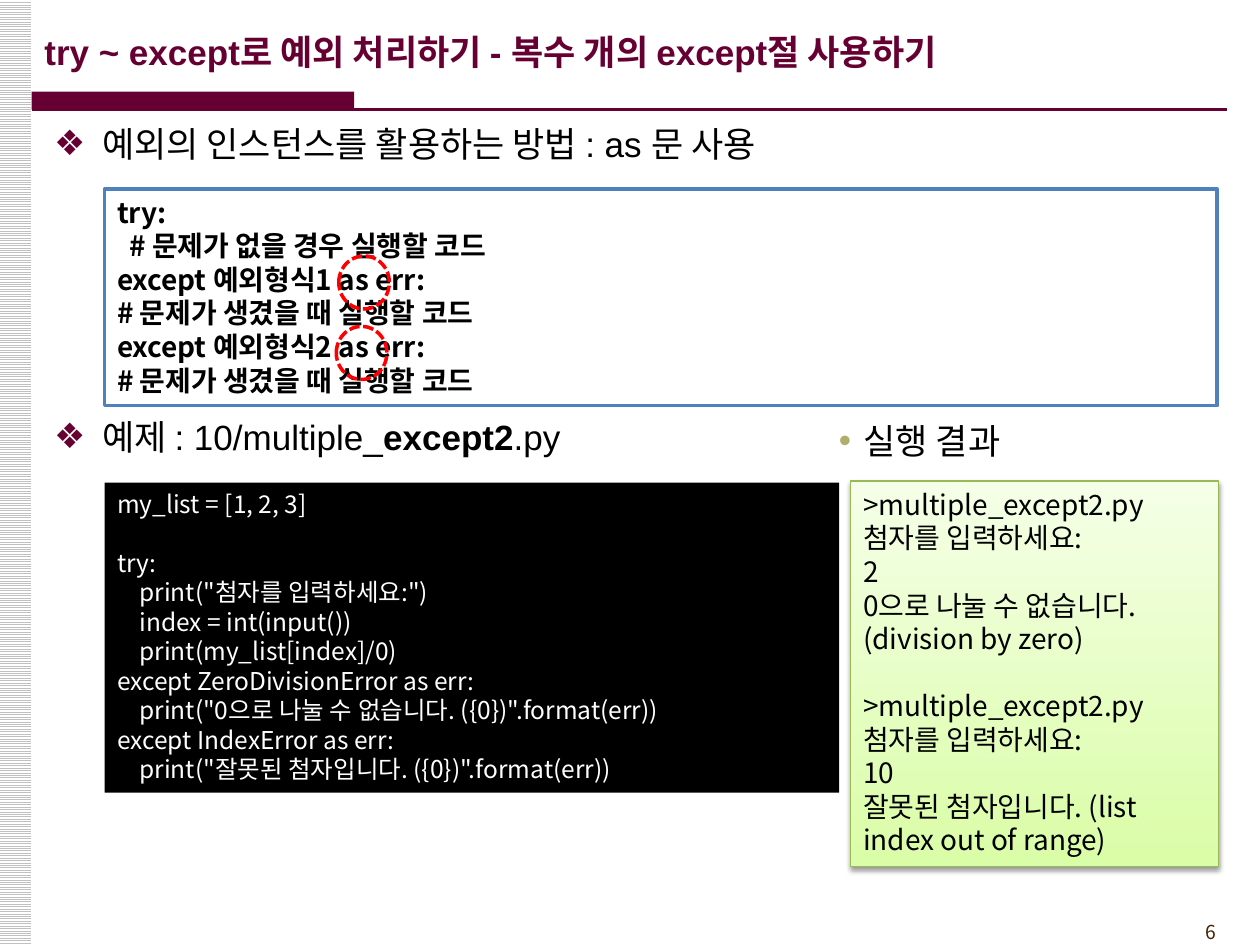
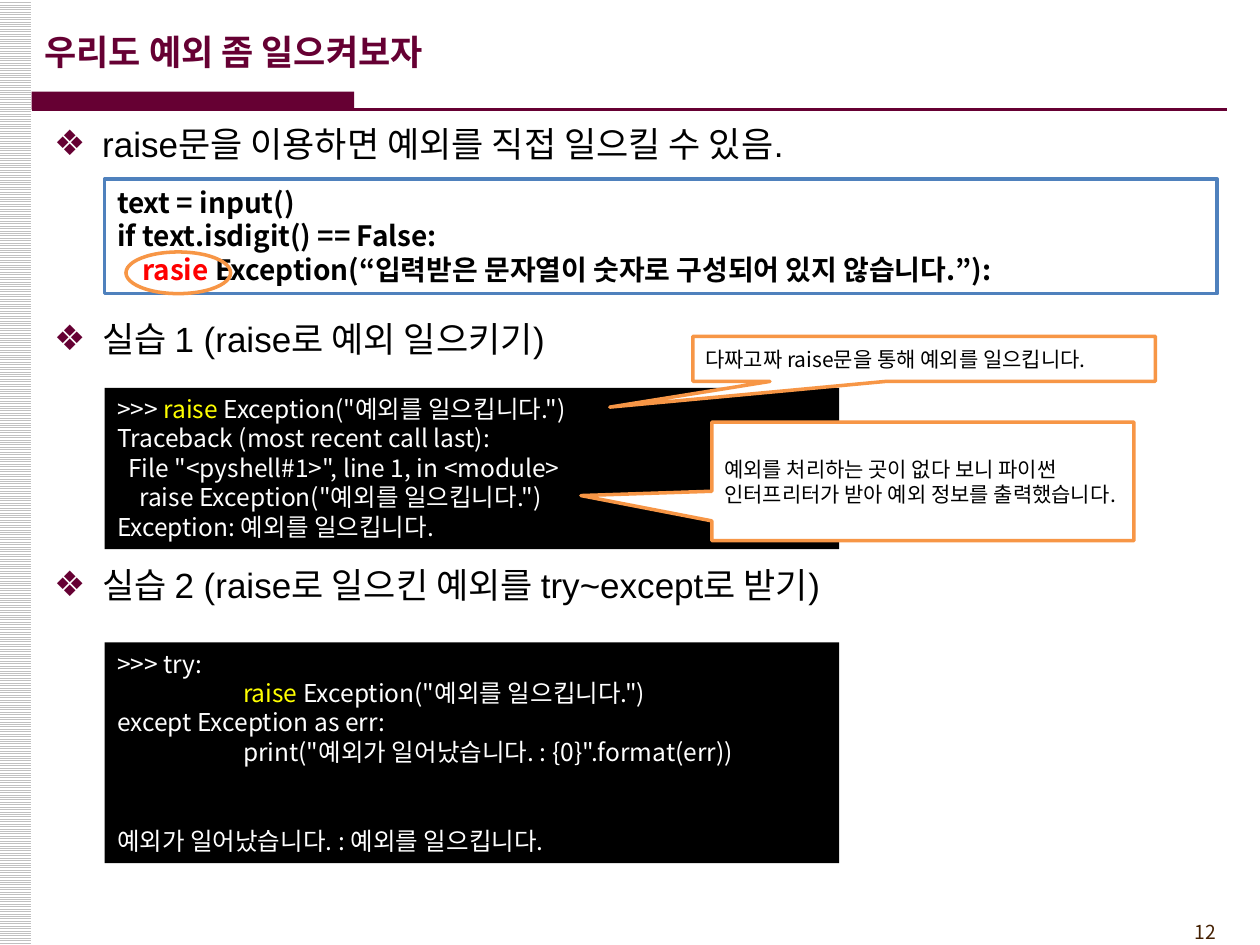
"""Build two lecture slides on Python exception handling."""
from lxml import etree
from pptx import Presentation
from pptx import util as u
from pptx.dml.color import RGBColor
from pptx.enum import dml, shapes, text
from pptx.oxml import parse_xml
from pptx.oxml.ns import nsdecls, qn

WINE, BLACK, WHITE = "660033", "000000", "FFFFFF"
BLUE, ORANGE, RED, YELLOW = "4F81BD", "F79646", "FF0000", "FFFF00"
SANS, KOREAN = "Arial", "Noto Sans CJK KR"
KIND = shapes.MSO_SHAPE


def paint(fill, *colours):
    """Apply no fill, a solid fill or a two-colour gradient."""
    if not colours:
        fill.background()
    elif len(colours) == 1:
        fill.solid()
        fill.fore_color.rgb = RGBColor.from_string(colours[0])
    else:
        fill.gradient()
        fill.gradient_angle = 90
        for stop, colour in zip(fill.gradient_stops, colours):
            stop.color.rgb = RGBColor.from_string(colour)


def write(page, lines, at, kind=None, fill=(), line=None, width=2, size=14, font=KOREAN,
          colour=BLACK, bold=False, accent=None, bullet=None, hang=0,
          align=text.PP_ALIGN.LEFT, anchor=text.MSO_ANCHOR.TOP):
    """Add lines, each a text or (text, indent in cm, gap in points); |bars| mark accents."""
    place = [u.Cm(value) for value in at]
    if kind == "title":
        box = page.shapes.title
        box.left, box.top, box.width, box.height = place
    elif kind is None:
        box = page.shapes.add_textbox(*place)
    else:
        box = page.shapes.add_shape(kind, *place)
        box.shadow.inherit = False
        paint(box.fill, *fill)
        paint(box.line.fill, *([line] if line else []))
        if line:
            box.line.width = u.Pt(width)
    frame = box.text_frame
    frame.word_wrap = True
    frame.auto_size = text.MSO_AUTO_SIZE.NONE
    frame.vertical_anchor = anchor
    for index, entry in enumerate(lines):
        words, indent, gap = (entry, 0, 0) if isinstance(entry, str) else entry
        para = frame.add_paragraph() if index else frame.paragraphs[0]
        para.alignment = align
        para.space_before = u.Pt(gap)
        props = para._p.get_or_add_pPr()
        props.set("marL", str(u.Cm(indent + hang)))
        props.set("indent", str(-u.Cm(hang)))
        if bullet:
            mark, mark_colour = bullet
            tint = etree.SubElement(props, qn("a:buClr"))
            etree.SubElement(tint, qn("a:srgbClr")).set("val", mark_colour)
            etree.SubElement(props, qn("a:buFont")).set("typeface", SANS)
            etree.SubElement(props, qn("a:buChar")).set("char", mark)
        for part, piece in enumerate(words.split("|")):
            if not piece:
                continue
            span = para.add_run()
            span.text = piece
            marked = part % 2 == 1
            span.font.size = u.Pt(size)
            span.font.bold = bold or (marked and accent is None)
            paint(span.font.fill, accent if marked and accent else colour)
            span.font.name = font
            etree.SubElement(span.font._element, qn("a:ea")).set("typeface", KOREAN)
    return box


deck = Presentation()
deck.slide_width, deck.slide_height = u.Cm(25.4), u.Cm(19.05)

outlines = [
    ("6", "try ~ except로 예외 처리하기 - 복수 개의 except절 사용하기",
     [(2.34, "예외의 인스턴스를 활용하는 방법 : as 문 사용"),
      (8.26, "예제 : 10/multiple_|except2|.py")]),
    ("12", "우리도 예외 좀 일으켜보자",
     [(2.34, "raise문을 이용하면 예외를 직접 일으킬 수 있음."),
      (6.27, "실습 1 (raise로 예외 일으키기)"),
      (11.23, "실습 2 (raise로 일으킨 예외를 try~except로 받기)")]),
]
pages = []
for number, title, headings in outlines:
    page = deck.slides.add_slide(deck.slide_layouts[5])
    pages.append(page)
    strip = write(page, [], (-0.03, 0, 0.66, 19.05), KIND.RECTANGLE)
    strip.fill.patterned()
    strip.fill.pattern = dml.MSO_PATTERN.LIGHT_HORIZONTAL
    strip.fill.fore_color.rgb = RGBColor.from_string("C0C0C0")
    strip.fill.back_color.rgb = RGBColor.from_string(WHITE)
    write(page, [number], (22.66, 18.42, 2.11, 0.74), size=11, colour="452103",
          align=text.PP_ALIGN.RIGHT)
    write(page, [], (0.64, 1.85, 6.5, 0.36), KIND.RECTANGLE, fill=[WINE])
    rule = page.shapes.add_connector(shapes.MSO_CONNECTOR.STRAIGHT, u.Cm(0.64), u.Cm(2.21),
                                     u.Cm(24.74), u.Cm(2.21))
    paint(rule.line.fill, WINE)
    rule.line.width = u.Pt(1.5)
    etree.SubElement(rule._element.spPr, qn("a:effectLst"))
    write(page, [title], (0.64, 0.23, 21, 1.6), "title", size=20, font=SANS, colour=WINE,
          bold=True, anchor=text.MSO_ANCHOR.MIDDLE)
    for top, heading in headings:
        write(page, [heading], (0.84, top, 24.13, 1.1), size=20, font=SANS,
              bullet=("❖", WINE), hang=0.97)

syntax_format = dict(kind=KIND.RECTANGLE, fill=[WHITE], line=BLUE, size=16, bold=True)
code_format = dict(kind=KIND.RECTANGLE, fill=[BLACK], colour=WHITE, accent=YELLOW)
callout_format = dict(kind=KIND.RECTANGULAR_CALLOUT, fill=[WHITE], line=ORANGE, size=12,
                      anchor=text.MSO_ANCHOR.MIDDLE)
STEP, TAB = 0.45, 2.54

multiple, raising = pages

write(multiple, [
    "try:",
    ("# 문제가 없을 경우 실행할 코드", 0.25, 0),
    "except 예외형식1 as err:",
    "# 문제가 생겼을 때 실행할 코드",
    "except 예외형식2 as err:",
    "# 문제가 생겼을 때 실행할 코드",
], (2.11, 3.81, 22.43, 4.37), **syntax_format)
write(multiple, [
    "my_list = [1, 2, 3]",
    ("try:", 0, 17),
    ('print("첨자를 입력하세요:")', STEP, 0),
    ("index = int(input())", STEP, 0),
    ("print(my_list[index]/0)", STEP, 0),
    "except ZeroDivisionError as err:",
    ('print("0으로 나눌 수 없습니다. ({0})".format(err))', STEP, 0),
    "except IndexError as err:",
    ('print("잘못된 첨자입니다. ({0})".format(err))', STEP, 0),
], (2.11, 9.73, 14.81, 6.25), **code_format)
result = write(multiple, [
    ">multiple_except2.py",
    "첨자를 입력하세요:",
    "2",
    "0으로 나눌 수 없습니다. (division by zero)",
    (">multiple_except2.py", 0, 19),
    "첨자를 입력하세요:",
    "10",
    "잘못된 첨자입니다. (list index out of range)",
], (17.15, 9.7, 7.42, 7.77), KIND.RECTANGLE, fill=["DAFDA7", "F5FFE7"], line="98B955",
    width=0.75, size=16)
effects = result._element.spPr.find(qn("a:effectLst"))
effects.append(parse_xml(
    f'<a:outerShdw {nsdecls("a")} blurRad="{u.Pt(3.1)}" dist="{u.Pt(1.6)}" dir="5400000" '
    'rotWithShape="0"><a:srgbClr val="000000"><a:alpha val="38000"/></a:srgbClr>'
    '</a:outerShdw>'))
write(multiple, ["실행 결과"], (16.66, 8.33, 5.16, 1), size=20, bullet=("•", "B1AE6B"), hang=0.5)
for left, top in [(6.83, 5.16), (6.78, 6.58)]:
    ring = write(multiple, [], (left, top, 1.02, 1.07), KIND.OVAL, line=RED)
    ring.line.dash_style = dml.MSO_LINE.SQUARE_DOT

write(raising, [
    '>>> |raise| Exception("예외를 일으킵니다.")',
    "Traceback (most recent call last):",
    ('File "<pyshell#1>", line 1, in <module>', STEP / 2, 0),
    ('raise Exception("예외를 일으킵니다.")', STEP, 0),
    "Exception: 예외를 일으킵니다.",
], (2.11, 7.82, 14.81, 3.25), **code_format)
write(raising, [
    "text = input()",
    "if text.isdigit() == False:",
    ("|rasie |Exception(“입력받은 문자열이 숫자로 구성되어 있지 않습니다.”):", 0.51, 0),
], (2.11, 3.61, 22.43, 2.31), accent=RED, **syntax_format)
write(raising, [], (2.54, 5.08, 2.11, 0.84), KIND.OVAL, line=ORANGE)
callouts = [
    ("예외를 처리하는 곳이 없다 보니 파이썬 인터프리터가 받아 예외 정보를 출력했습니다.",
     (14.35, 8.51, 8.51, 2.39), (-0.81, 0.12)),
    ("다짜고짜 raise문을 통해 예외를 일으킵니다.",
     (13.97, 6.78, 9.32, 0.91), (-0.68, 1.07)),
]
for remark, at, (tip_x, tip_y) in callouts:
    callout = write(raising, [remark], at, **callout_format)
    callout.adjustments[0], callout.adjustments[1] = tip_x, tip_y
write(raising, [
    ">>> try:",
    ('|raise| Exception("예외를 일으킵니다.")', TAB, 0),
    "except Exception as err:",
    ('print("예외가 일어났습니다. : {0}".format(err))', TAB, 0),
    ("예외가 일어났습니다. : 예외를 일으킵니다.", 0, 34),
], (2.11, 12.95, 14.81, 4.45), **code_format)

deck.save("out.pptx")
